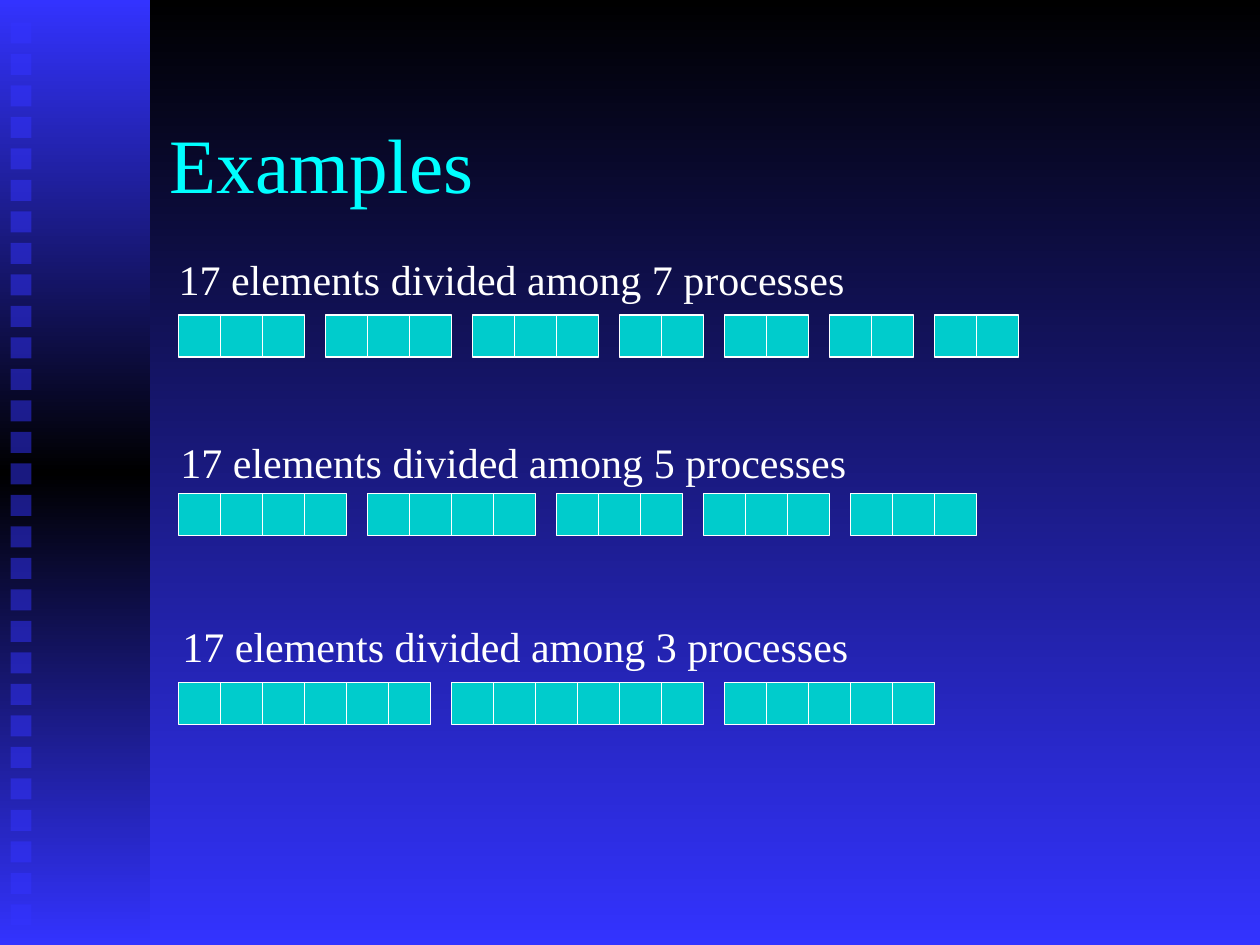
from copy import deepcopy

from pptx import Presentation
from pptx.dml.color import RGBColor
from pptx.enum.shapes import MSO_SHAPE as Shape
from pptx.enum.text import MSO_ANCHOR as Anchor
from pptx.oxml.ns import qn
from pptx.oxml.xmlchemy import OxmlElement
from pptx.util import Pt

FONT = "Times New Roman"
BLUE, BLACK, WHITE = "3333FF", "000000", "FFFFFF"
CYAN, TEAL = "00FFFF", "00CCCC"
ELEMENTS = 17
CELL, GAP = 24, 12


def color(hex_string):
    return RGBColor.from_string(hex_string)


def fill_downward(fill, owner, colors):
    """Fill with evenly spaced colours from top to bottom."""
    fill.gradient()
    fill.gradient_angle = 270
    stop_list = next(owner.iter(qn("a:gsLst")))
    while len(stop_list) < len(colors):
        stop_list.append(deepcopy(stop_list[-1]))
    for index, (stop, hex_string) in enumerate(zip(fill.gradient_stops, colors)):
        stop.color.rgb = color(hex_string)
        stop.position = index / (len(colors) - 1)


def add_rectangle(shapes, left, top, width, height):
    box = shapes.add_shape(Shape.RECTANGLE, Pt(left), Pt(top), Pt(width), Pt(height))
    box.shadow.inherit = False
    box.line.fill.background()
    return box


def add_text(shapes, left, top, width, height, text, size, hex_string, anchor):
    box = shapes.add_textbox(Pt(left), Pt(top), Pt(width), Pt(height))
    frame = box.text_frame
    frame.word_wrap = True
    frame.vertical_anchor = anchor
    span = frame.paragraphs[0].add_run()
    span.text = text
    span.font.name = FONT
    span.font.size = Pt(size)
    span.font.color.rgb = color(hex_string)


def add_sidebar(page, left, top, width, height):
    """Gradient band with a column of half-transparent squares."""
    shapes = page.shapes.add_group_shape().shapes
    band = add_rectangle(shapes, left, top, width, height)
    fill_downward(band.fill, band.element, [BLUE, BLACK, BLUE])
    for index in range(29):
        square = add_rectangle(shapes, left + 6, top + 12.8 + 18 * index, 12, 12)
        square.fill.solid()
        square.fill.fore_color.rgb = color(BLUE)
        alpha = OxmlElement("a:alpha")
        alpha.set("val", "50000")
        next(square.element.spPr.iter(qn("a:srgbClr"))).append(alpha)


def add_example(page, left, top, processes, caption_left, caption_top):
    """Row of cells shared out in blocks, the first blocks taking the remainder."""
    shapes = page.shapes.add_group_shape().shapes
    add_text(shapes, left + caption_left, top + caption_top, 404, 36,
             f"{ELEMENTS} elements divided among {processes} processes",
             24, WHITE, Anchor.TOP)
    share, remainder = divmod(ELEMENTS, processes)
    x = left
    for process in range(processes):
        for _ in range(share + (process < remainder)):
            cell = add_rectangle(shapes, x, top, CELL, CELL)
            cell.fill.solid()
            cell.fill.fore_color.rgb = color(TEAL)
            cell.line.color.rgb = color(WHITE)
            cell.line.width = Pt(0.75)
            x += CELL
        x += GAP


def main():
    deck = Presentation()
    deck.slide_width, deck.slide_height = Pt(720), Pt(540)
    page = deck.slides.add_slide(deck.slide_layouts[6])
    fill_downward(page.background.fill, page.element, [BLACK, BLUE])
    add_sidebar(page, 0, 0, 85.7, 540)
    add_text(page.shapes, 90, 48, 612, 90, "Examples", 44, CYAN, Anchor.MIDDLE)
    add_example(page, 102, 180, 7, -7, -38.5)
    add_example(page, 102, 282, 5, -6, -36)
    add_example(page, 102, 390, 3, -4.8, -39)
    deck.save("out.pptx")


if __name__ == "__main__":
    main()
